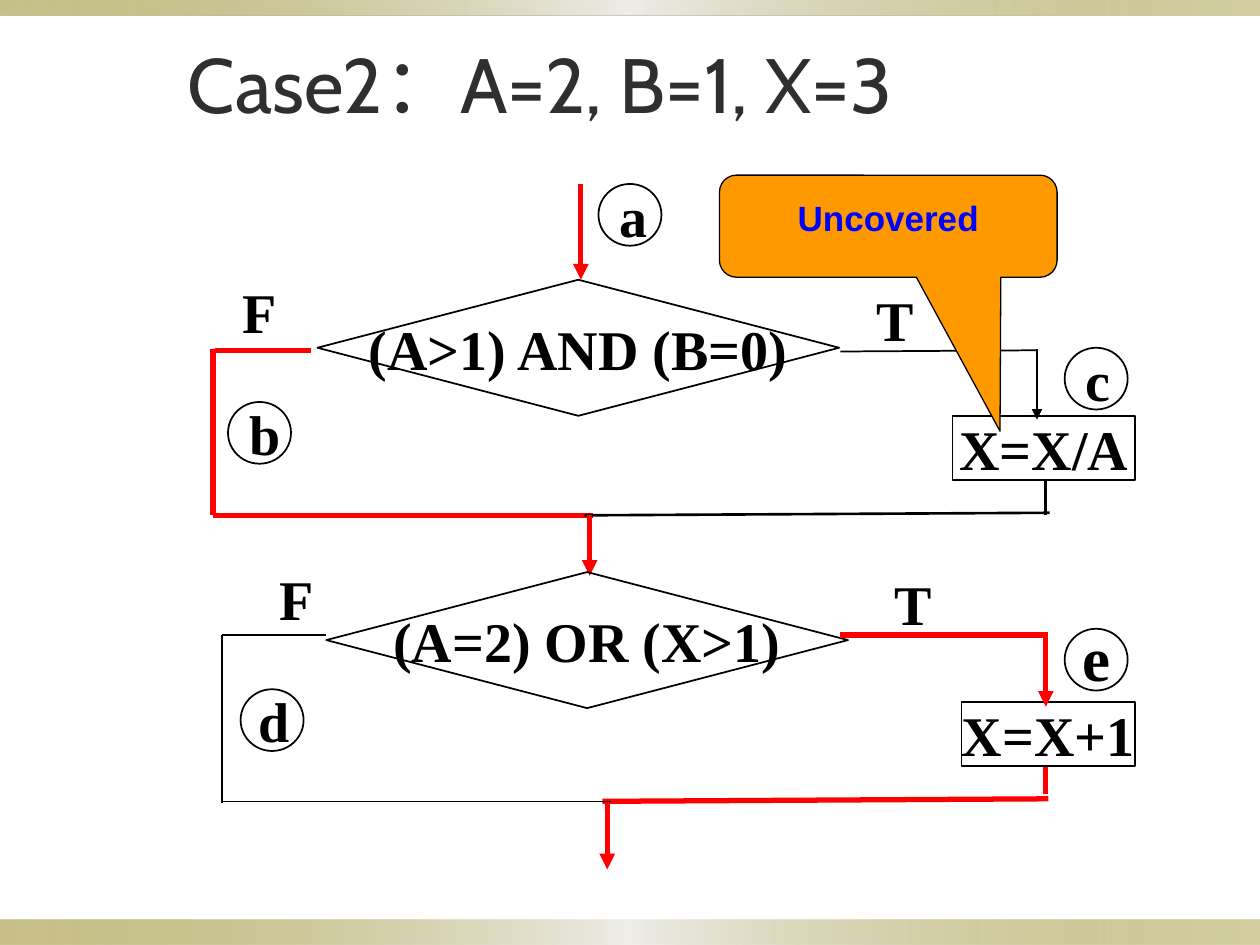
from pptx import Presentation
from pptx.dml.color import RGBColor
from pptx.enum.shapes import MSO_CONNECTOR, MSO_SHAPE
from pptx.enum.text import MSO_ANCHOR, PP_ALIGN
from pptx.oxml import parse_xml
from pptx.oxml.ns import nsdecls, qn
from pptx.util import Emu, Pt

CENTER, LEFT = PP_ALIGN.CENTER, PP_ALIGN.LEFT
MIDDLE, TOP = MSO_ANCHOR.MIDDLE, MSO_ANCHOR.TOP
STRAIGHT = MSO_CONNECTOR.STRAIGHT
DIAMOND, OVAL, RECT = MSO_SHAPE.DIAMOND, MSO_SHAPE.OVAL, MSO_SHAPE.RECTANGLE
CALLOUT = MSO_SHAPE.ROUNDED_RECTANGULAR_CALLOUT

EMU_PER_PX = 9144  # 100 px to the inch
SLIDE_W, SLIDE_H = 1000, 750
BLACK, WHITE, RED, BLUE, ORANGE = "000000", "FFFFFF", "FF0000", "0000FF", "FF9900"
BAND_STOPS = [(0, "918415", 50), (50, "EEEDE8", 100), (100, "918415", 40)]


def px(length):
    return Emu(round(length * EMU_PER_PX))


def color(hex_code):
    return RGBColor.from_string(hex_code)


def write(holder, text, size=32, font="Times New Roman", ink=BLACK, bold=True,
          align=CENTER, anchor=MIDDLE, wrap=False):
    frame = holder.text_frame
    frame.word_wrap = wrap
    frame.vertical_anchor = anchor
    paragraph = frame.paragraphs[0]
    paragraph.alignment = align
    run = paragraph.add_run()
    run.text = text
    run.font.size = Pt(size)
    run.font.name = font
    run.font.bold = bold
    run.font.color.rgb = color(ink)
    return frame


def add_block(slide, kind, box, fill=None, line=BLACK, weight=1):
    block = slide.shapes.add_shape(kind, *map(px, box))
    block.shadow.inherit = False
    if fill:
        block.fill.solid()
        block.fill.fore_color.rgb = color(fill)
    else:
        block.fill.background()
    if line:
        block.line.color.rgb = color(line)
        block.line.width = Pt(weight)
    else:
        block.line.fill.background()
    return block


def add_label(slide, text, left, top, height=63, size=32):
    label = slide.shapes.add_textbox(px(left), px(top), px(45), px(height))
    write(label, text, size=size, align=LEFT, anchor=TOP, wrap=True)


def add_edge(slide, left, top, points, ink, weight, arrow=False):
    x1, y1, x2, y2 = points
    edge = slide.shapes.add_connector(
        STRAIGHT, px(left + x1), px(top + y1), px(left + x2), px(top + y2))
    edge.line.color.rgb = color(ink)
    edge.line.width = Pt(weight)
    if arrow:
        edge.line._get_or_add_ln().append(
            parse_xml(f'<a:tailEnd {nsdecls("a")} type="triangle"/>'))
    edge._element.spPr.append(parse_xml(f'<a:effectLst {nsdecls("a")}/>'))


def add_band(slide, top, height):
    band = add_block(slide, RECT, (0, top, SLIDE_W, height), line=None)
    stops = "".join(
        f'<a:gs pos="{pos * 1000}"><a:srgbClr val="{hue}">'
        f'<a:alpha val="{alpha * 1000}"/></a:srgbClr></a:gs>'
        for pos, hue, alpha in BAND_STOPS)
    gradient = parse_xml(f'<a:gradFill {nsdecls("a")}><a:gsLst>{stops}</a:gsLst>'
                         '<a:lin ang="0" scaled="0"/></a:gradFill>')
    properties = band._element.spPr
    properties.replace(properties.find(qn("a:noFill")), gradient)


def add_title(slide, box, text):
    title = slide.shapes.title
    title.left, title.top, title.width, title.height = map(px, box)
    write(title, text, size=44, font="Cabin", ink="2F2F2F", bold=False, wrap=True)


def add_path_mark(slide, letter, left, top, dx=7, dy=-7, height=63, size=32):
    """Circled letter that names one path of the flow."""
    add_block(slide, OVAL, (left, top, 50, 49), fill=WHITE)
    add_label(slide, letter, left + dx, top + dy, height, size)


def add_stage(slide, left, top, stage):
    """One decision with its branches, placed from the left end of its F branch."""
    diamond = add_block(slide, DIAMOND, (left + 83, top, 414, 108))
    write(diamond, stage["condition"])
    x, y, width = stage["action_box"]
    action = add_block(slide, RECT, (left + x, top + y, width, 51))
    write(action, stage["action"])
    for text, x, y in stage["branches"]:
        add_label(slide, text, left + x, top + y)
    for letter, x, y, *placing in stage["marks"]:
        add_path_mark(slide, letter, left + x, top + y, *placing)
    for edge in stage["edges"]:
        add_edge(slide, left, top, *edge)


def add_callout(slide, box, text):
    callout = add_block(slide, CALLOUT, box, fill=ORANGE, weight=0.75)
    for index, value in enumerate((0.331, 2.009, 0.167)):
        callout.adjustments[index] = value
    frame = write(callout, text, size=20, font="Arial", ink=BLUE, anchor=TOP, wrap=True)
    frame.margin_left = frame.margin_right = 0
    frame.margin_top = frame.margin_bottom = px(13)


# Edges are (x1, y1, x2, y2), colour, weight and, where there is one, an arrowhead.
FIRST_STAGE = {
    "condition": "(A>1) AND (B=0)",
    "action": "X=X/A",
    "action_box": (587, 108, 145),
    "branches": [("F", 14, -7), ("T", 517, 0)],
    "marks": [("a", 306, -76), ("b", 12, 97), ("c", 676, 54)],
    "edges": [
        ((78, 56, 2, 56), RED, 3),
        ((0, 55, 0, 187), RED, 3),
        ((0, 187, 302, 187), RED, 3),
        ((498, 57, 654, 56), BLACK, 1),
        ((654, 55, 654, 111), BLACK, 1.5, True),
        ((661, 159, 661, 187), BLACK, 1.5),
        ((295, 187, 664, 185), BLACK, 1.5),
        ((292, -76, 292, 0), RED, 3, True),
        ((299, 187, 299, 235), RED, 3, True),
    ],
}
SECOND_STAGE = {
    "condition": "(A=2) OR (X>1)",
    "action": "X=X+1",
    "action_box": (587, 103, 138),
    "branches": [("F", 36, -11), ("T", 524, -7)],
    "marks": [("d", 15, 93, 4), ("e", 669, 45, 4, -13, 70, 36)],
    "edges": [
        ((491, 50, 656, 50), RED, 3),
        ((654, 52, 654, 107), RED, 3, True),
        ((654, 155, 654, 176), RED, 3),
        ((302, 182, 656, 180), RED, 3),
        ((306, 183, 306, 236), RED, 3, True),
        ((83, 50, 0, 50), BLACK, 1),
        ((0, 50, 0, 183), BLACK, 1),
        ((0, 182, 309, 182), BLACK, 0.75),
    ],
}


def main():
    deck = Presentation()
    deck.slide_width, deck.slide_height = px(SLIDE_W), px(SLIDE_H)
    slide = deck.slides.add_slide(deck.slide_layouts[5])
    add_band(slide, 730, 20)
    add_band(slide, 0, 12)
    add_title(slide, (0, 36, 858, 59), "Case2：A=2, B=1, X=3")
    add_stage(slide, 169, 222, FIRST_STAGE)
    add_stage(slide, 176, 454, SECOND_STAGE)
    add_callout(slide, (571, 139, 268, 81), "Uncovered")
    deck.save("out.pptx")


if __name__ == "__main__":
    main()
